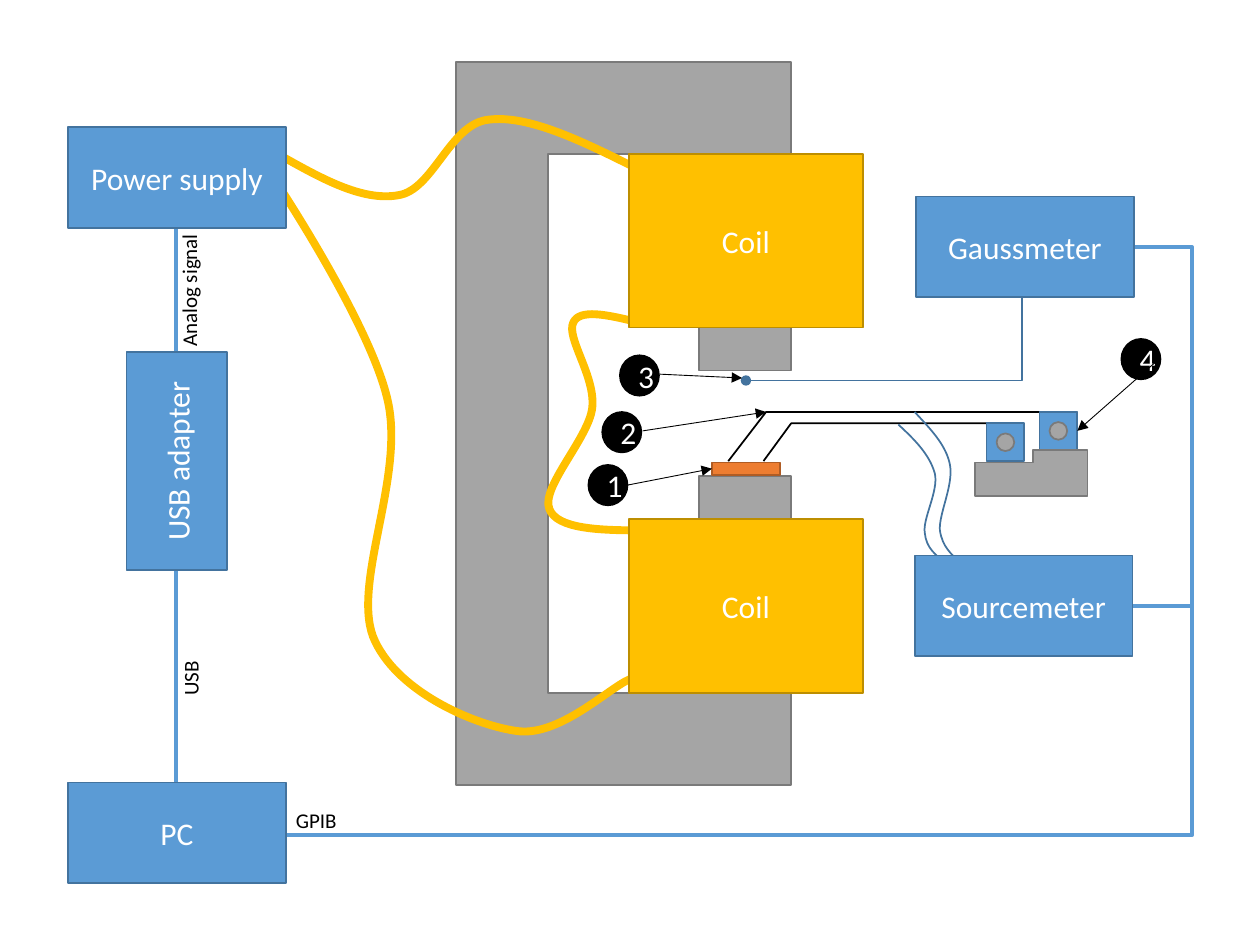
from lxml import etree
from pptx import Presentation
from pptx import util as u
from pptx.dml.color import RGBColor
from pptx.enum import shapes, text
from pptx.oxml import ns

BLUE = RGBColor(0x5B, 0x9B, 0xD5)
NAVY = RGBColor(0x43, 0x73, 0x9E)
GRAY = RGBColor(0xA5, 0xA5, 0xA5)
IRON = RGBColor(0x7A, 0x7A, 0x7A)
GOLD = RGBColor(0xFF, 0xC0, 0x00)
AMBER = RGBColor(0xBD, 0x8E, 0x00)
ORANGE = RGBColor(0xED, 0x7D, 0x31)
RUST = RGBColor(0xAF, 0x5C, 0x24)
BLACK = RGBColor(0, 0, 0)
WHITE = RGBColor(255, 255, 255)
RECT = shapes.MSO_SHAPE.RECTANGLE
OVAL = shapes.MSO_SHAPE.OVAL


class Board:
    """Holds the style and the current slide."""

    font = "Calibri"

    def __init__(self, slide):
        """Keep the shapes of the slide to draw on."""
        self.items = slide.shapes

    def words(self, frame, value, size, color):
        """Add one run of text to a frame."""
        run = frame.paragraphs[0].add_run()
        run.text = value
        run.font.name, run.font.size = self.font, u.Pt(size)
        run.font.color.rgb = color

    def pen(self, item, color, width=1, head=None, tail=None):
        """Set the line of an item and its ends."""
        item.line.color.rgb, item.line.width = color, u.Pt(width)
        line = item._element.spPr.find(ns.qn("a:ln"))
        for tag, kind in (("a:headEnd", head), ("a:tailEnd", tail)):
            if kind:
                etree.SubElement(line, ns.qn(tag), type=kind)

    def shape(self, kind, box, fill, edge, label="", turn=0):
        """Add a filled preset shape with a centred label."""
        item = self.items.add_shape(kind, *map(u.Inches, box))
        item.shadow.inherit = False
        item.fill.solid()
        item.fill.fore_color.rgb = fill
        item.rotation = turn
        self.pen(item, edge)
        if label:
            frame = item.text_frame
            frame.vertical_anchor = text.MSO_ANCHOR.MIDDLE
            frame.paragraphs[0].alignment = text.PP_ALIGN.CENTER
            self.words(frame, label, 18, WHITE)

    def device(self, left, top, label, turn=0):
        """Add a blue instrument box."""
        self.shape(RECT, (left, top, 1.73, 0.8), BLUE, NAVY, label, turn)

    def line(self, start, end, color, width, tail=None):
        """Add a straight connector."""
        item = self.items.add_connector(
            shapes.MSO_CONNECTOR.STRAIGHT, *map(u.Inches, start + end))
        self.pen(item, color, width, tail=tail)
        etree.SubElement(item._element.spPr, ns.qn("a:effectLst"))

    def outline(self, dots, color, width=1, fill=None, ends=None):
        """Add an open line, or a closed area when a fill is given."""
        dots = [(u.Inches(x), u.Inches(y)) for x, y in dots]
        form = self.items.build_freeform(*dots[0])
        form.add_line_segments(dots[1:], close=fill is not None)
        item = form.convert_to_shape()
        item.shadow.inherit = False
        if fill is None:
            item.fill.background()
        else:
            item.fill.solid()
            item.fill.fore_color.rgb = fill
        self.pen(item, color, width, ends, ends)
        return item

    def curve(self, dots, color, width=1):
        """Add a Bezier line: a start, then three points per segment."""
        item = self.outline(dots, color, width)
        steps = list(item._element.iter(ns.qn("a:lnTo")))
        route = steps[0].getparent()
        for i in range(0, len(steps), 3):
            bend = etree.SubElement(route, ns.qn("a:cubicBezTo"))
            for step in steps[i:i + 3]:
                bend.append(step[0])
                route.remove(step)

    def label(self, box, value, turn=0):
        """Add a small cable label."""
        item = self.items.add_textbox(*map(u.Inches, box))
        item.rotation = turn
        item.text_frame.word_wrap = False
        item.text_frame.auto_size = text.MSO_AUTO_SIZE.SHAPE_TO_FIT_TEXT
        self.words(item.text_frame, value, 12, BLACK)

    def mark(self, left, top, label, start, end):
        """Add a numbered dot and its arrow."""
        self.shape(OVAL, (left, top, 0.31, 0.32), BLACK, BLACK, label)
        self.line(start, end, BLACK, 0.5, "triangle")


def wires(b):
    """Draw the data lines, the field probe and the magnet yoke."""
    b.line((8.97, 4.81), (9.45, 4.81), BLUE, 2.25)
    b.outline([(1.4, 6.63), (9.46, 6.63), (9.46, 1.96), (7.88, 1.96)], BLUE, 2.25)
    b.line((1.4, 1.81), (1.4, 6.21), BLUE, 2.25)
    b.outline([(5.92, 3.02), (8.11, 3.02), (8.11, 2.21)], NAVY, ends="oval")
    b.outline([(3.62, 0.49), (6.28, 0.49), (6.28, 2.94), (5.55, 2.94),
               (5.55, 1.22), (4.35, 1.22), (4.35, 5.5), (5.55, 5.5),
               (5.55, 3.78), (6.28, 3.78), (6.28, 6.23), (3.62, 6.23)],
              IRON, fill=GRAY)


def coils(b):
    """Draw the coil cables, the coils and their supply."""
    cables = (
        [(5.04, 1.33), (4.62, 1.12), (4.19, 0.91), (3.88, 0.95), (3.57, 0.98),
         (3.44, 1.51), (3.16, 1.55), (2.87, 1.6), (2.54, 1.41), (2.2, 1.22)],
        [(5.03, 2.55), (4.82, 2.5), (4.6, 2.45), (4.55, 2.56), (4.49, 2.68),
         (4.73, 2.99), (4.7, 3.24), (4.67, 3.48), (4.29, 3.87), (4.36, 4.04),
         (4.42, 4.2), (4.76, 4.21), (5.1, 4.21)],
        [(5.1, 5.39), (5.13, 5.35), (5.17, 5.32), (5, 5.39), (4.83, 5.46),
         (4.43, 5.86), (4.09, 5.8), (3.75, 5.75), (3.13, 5.48), (2.96, 5.05),
         (2.8, 4.61), (3.21, 3.79), (3.08, 3.19), (2.95, 2.58), (2.17, 1.41),
         (2.17, 1.41)])
    for dots in cables:
        b.curve(dots, GOLD, 4.5)
    for top in (1.22, 4.12):
        b.shape(RECT, (4.99, top, 1.86, 1.38), GOLD, AMBER, "Coil")
    b.device(0.54, 1.01, "Power supply")


def sample(b):
    """Draw the sample, its contacts and the stand."""
    b.shape(RECT, (5.65, 3.67, 0.54, 0.1), ORANGE, RUST)
    b.outline([(6.06, 3.66), (6.28, 3.36), (8.12, 3.36)], BLACK)
    b.outline([(5.78, 3.66), (6.08, 3.27), (8.55, 3.27)], BLACK)
    for left, top in ((7.83, 3.36), (8.25, 3.27)):
        b.shape(RECT, (left, top, 0.3, 0.3), BLUE, NAVY)
        b.shape(OVAL, (left + 0.08, top + 0.08, 0.14, 0.14), GRAY, IRON)
    b.curve([(7.13, 3.37), (7.26, 3.49), (7.38, 3.61), (7.42, 3.76), (7.45, 3.9),
             (7.32, 4.12), (7.34, 4.23), (7.35, 4.35), (7.43, 4.41), (7.51, 4.47)],
            NAVY)
    b.curve([(7.26, 3.27), (7.38, 3.4), (7.51, 3.53), (7.54, 3.69), (7.57, 3.85),
             (7.45, 4.08), (7.46, 4.21), (7.48, 4.34), (7.55, 4.4), (7.63, 4.47)],
            NAVY)
    b.device(7.26, 4.41, "Sourcemeter")
    b.outline([(8.2, 3.57), (8.63, 3.57), (8.63, 3.94), (7.74, 3.94),
               (7.74, 3.67), (8.2, 3.67)], IRON, fill=GRAY)


def notes(b):
    """Draw the other devices, the numbered dots and the labels."""
    b.device(7.27, 1.56, "Gaussmeter")
    b.device(0.54, 6.21, "PC")
    b.device(0.54, 3.26, "USB adapter", 270)
    b.mark(4.67, 3.69, "1", (4.98, 3.85), (5.65, 3.72))
    b.mark(4.78, 3.27, "2", (5.1, 3.42), (6.08, 3.27))
    b.mark(4.92, 2.82, "3", (5.24, 2.97), (5.89, 3))
    b.mark(8.9, 2.69, "4", (9.21, 2.84), (8.55, 3.42))
    b.label((0.95, 2.15, 1.1, 0.3), "Analog signal", 270)
    b.label((1.27, 5.23, 0.48, 0.3), "USB", 270)
    b.label((2.25, 6.36, 0.53, 0.3), "GPIB")


def main():
    """Build the slide and save it."""
    deck = Presentation()
    deck.slide_width, deck.slide_height = u.Inches(10), u.Inches(7.5)
    board = Board(deck.slides.add_slide(deck.slide_layouts[6]))
    for part in (wires, coils, sample, notes):
        part(board)
    deck.save("out.pptx")


main()
